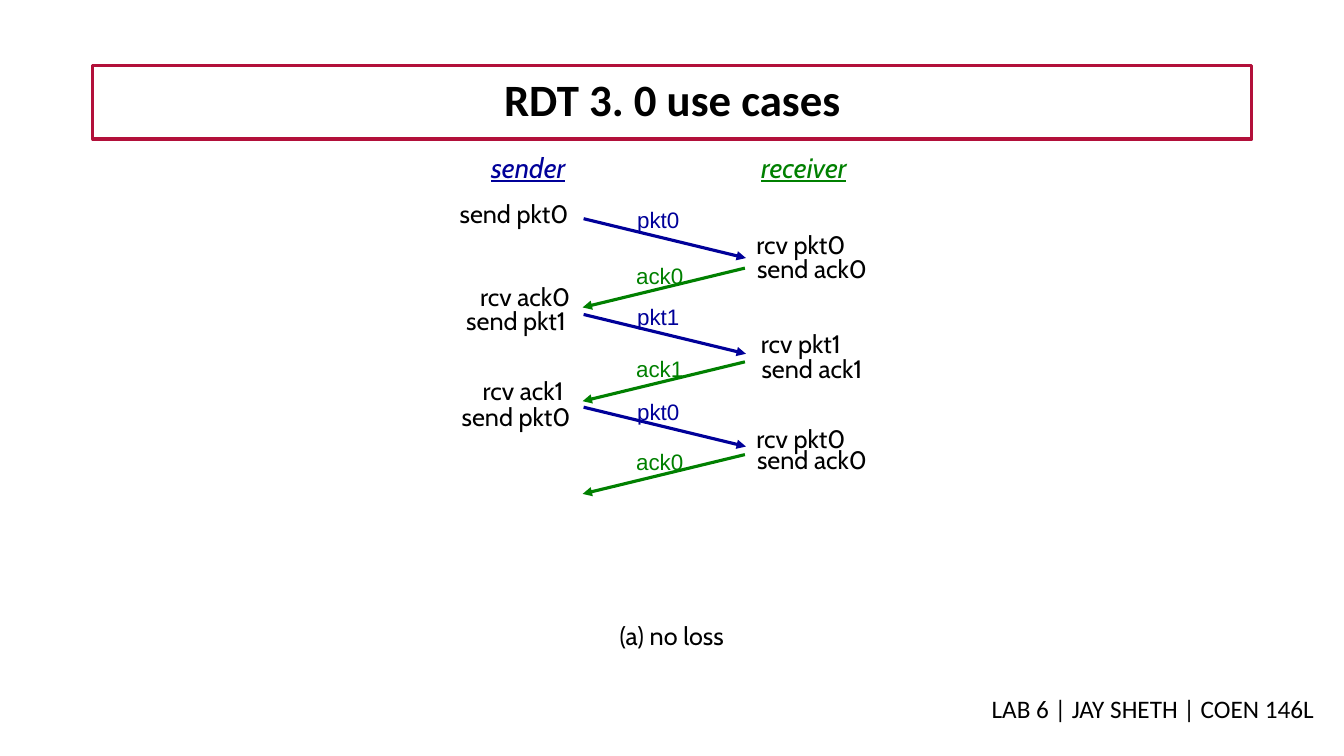
import pptx
import pptx.util
import pptx.dml.color
import pptx.enum.text
import pptx.enum.shapes
import lxml.etree

BLACK, BLUE, GREEN, RED = "000000", "000099", "008000", "B2103A"
ALIGN = pptx.enum.text.PP_ALIGN
FIT = pptx.enum.text.MSO_AUTO_SIZE


def paint(hue):
    return pptx.dml.color.RGBColor.from_string(hue)


def cell(count):
    """Length of a number of grid cells, ten to the inch."""
    return pptx.util.Inches(count / 10)


class Board:
    """Style and current slide; places count columns and rows of the grid."""

    face, size, weight = "Cabin", 18, 2.25

    def __init__(self, deck):
        self.slide = deck.slides.add_slide(deck.slide_layouts[5])

    def style(self, frame, hue, size, face, align):
        par = frame.paragraphs[0]
        par.alignment = align
        font = par.runs[0].font
        font.name, font.size = face, pptx.util.Pt(size)
        font.color.rgb = paint(hue)
        return font

    def edge(self, line, hue):
        line.color.rgb = paint(hue)
        line.width = pptx.util.Pt(self.weight)

    def title(self, words, left, top, width, height):
        box = self.slide.shapes.title
        box.left, box.top = cell(left), cell(top)
        box.width, box.height = cell(width), cell(height)
        self.edge(box.line, RED)
        frame = box.text_frame
        frame.text = words
        frame.auto_size = FIT.NONE
        frame.vertical_anchor = pptx.enum.text.MSO_ANCHOR.MIDDLE
        frame.paragraphs[0].line_spacing = 0.9
        self.style(frame, BLACK, 32, "Calibri", ALIGN.CENTER).bold = True

    def text(self, words, left, top, width, height=4, hue=BLACK, size=size,
             face=face, align=ALIGN.CENTER, wrap=False):
        box = self.slide.shapes.add_textbox(
            cell(left), cell(top), cell(width), cell(height))
        frame = box.text_frame
        frame.text = words
        frame.word_wrap = wrap
        frame.auto_size = FIT.SHAPE_TO_FIT_TEXT
        return self.style(frame, hue, size, face, align)

    def head(self, words, left, width, hue):
        font = self.text(words, left, 14.4, width, 4.3, hue, 20)
        font.italic = font.underline = True

    def arrow(self, left, top, run, drop, hue):
        line = self.slide.shapes.add_connector(
            pptx.enum.shapes.MSO_CONNECTOR.STRAIGHT, cell(left), cell(top),
            cell(left + run), cell(top + drop))
        self.edge(line.line, hue)
        space = "{http://schemas.openxmlformats.org/drawingml/2006/main}"
        tip = lxml.etree.SubElement(line.line._get_or_add_ln(), space + "tailEnd")
        tip.set("type", "triangle")
        lxml.etree.SubElement(line._element.spPr, space + "effectLst")

    def packet(self, words, top, label):
        self.arrow(57.9, top, 16.1, 3.9, BLUE)
        self.text(words, 62.2, label, 6.2, 3.7, BLUE, 16, "Arial")

    def reply(self, words, top, label):
        self.arrow(73.9, top, -16.1, 3.9, GREEN)
        self.text(words, 62.1, label, 6.7, 3.7, GREEN, 16, "Arial")


def main():
    deck = pptx.Presentation()
    deck.slide_width, deck.slide_height = cell(133.33), cell(75)
    board = Board(deck)

    # Title and footer
    board.title("RDT 3. 0 use cases", 9.2, 6.5, 115, 7.3)
    board.text("LAB 6 | JAY SHETH | COEN 146L ", 14.5, 68.3, 117.4,
               face="Calibri", align=ALIGN.RIGHT, wrap=True)

    # Column heads
    board.head("sender", 47.3, 10.2, BLUE)
    board.head("receiver", 73.9, 11.7, GREEN)

    # Sender steps: words, left, top, width
    for step in [("send pkt0", 44.6, 19.2, 12.8), ("rcv ack0", 46.5, 27.4, 11.2),
                 ("send pkt1", 44.8, 29.8, 12.8), ("rcv ack1", 46.3, 36.7, 11.2),
                 ("send pkt0", 44.8, 39.3, 12.8)]:
        board.text(*step)

    # Rounds: bit, then rows of receipt, answer, and each arrow with its label
    for bit, got, sent, out, name, back, tag in [
            (0, 22.3, 24.6, 21.7, 20, 26.6, 25.5),
            (1, 32.1, 34.6, 31.2, 29.6, 35.9, 34.7),
            (0, 41.5, 43.6, 40.4, 39, 45.1, 44)]:
        board.text(f"rcv pkt{bit}", 74, got, 10.9)
        board.text(f"send ack{bit}", 74, sent, 13.1)
        board.packet(f"pkt{bit}", out, name)
        board.reply(f"ack{bit}", back, tag)

    # Caption
    board.text("(a) no loss", 59.8, 61.1, 13.7)

    deck.save("out.pptx")


if __name__ == "__main__":
    main()
